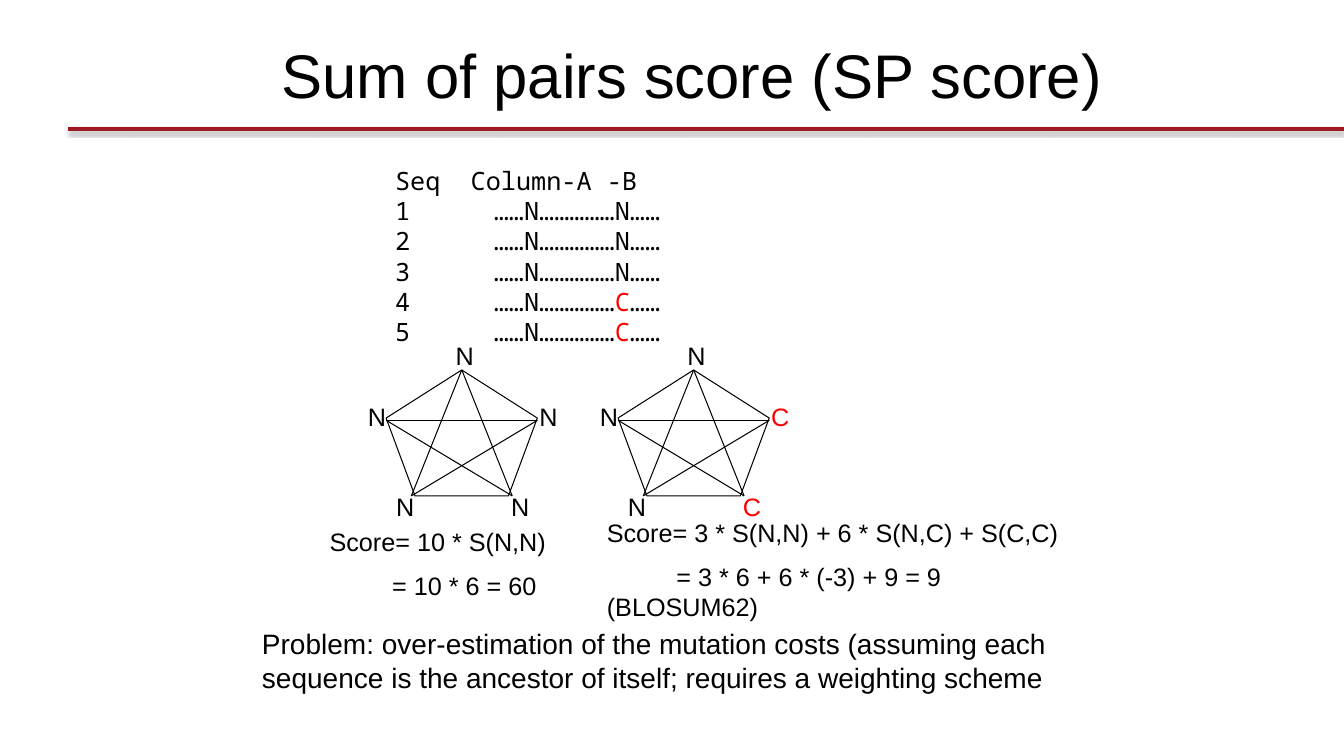
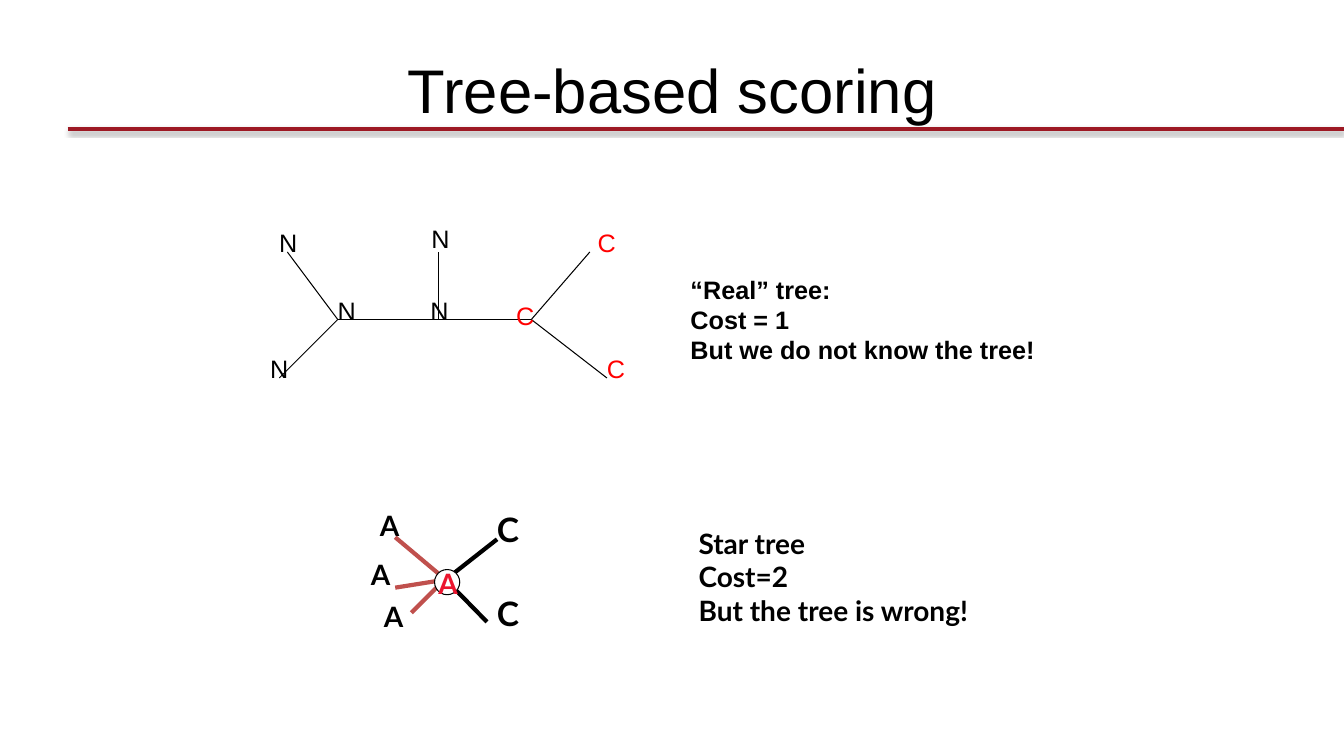
import pptx
import pptx.util
import pptx.dml.color
import pptx.enum.shapes
import pptx.enum.text
import pptx.oxml
import pptx.oxml.ns
import lxml.etree

Inches = pptx.util.Inches
Pt = pptx.util.Pt
SHAPES = pptx.enum.shapes.MSO_SHAPE
ALIGN = pptx.enum.text.PP_ALIGN
AUTO_SIZE = pptx.enum.text.MSO_AUTO_SIZE
qn = pptx.oxml.ns.qn

BLACK, WHITE, RED = "000000", "FFFFFF", "FF0000"
RULE_RED, BRANCH_RED, CENTRE_RED = "9D1924", "C0504D", "EB152E"
LETTER_COLORS = {"N": BLACK, "C": RED}
SANS, MONO, LATO = "Arial", "Noto Sans Mono", "Lato"
THIN, THICK = 0.75, 3


def rgb(color):
    return pptx.dml.color.RGBColor.from_string(color)


def format_run(run, size, font=SANS, color=BLACK, bold=False):
    run.font.size = Pt(size)
    run.font.name = font
    run.font.bold = bold
    run.font.color.rgb = rgb(color)


def add_text(slide, box, lines, size=18, font=SANS, color=BLACK, bold=False,
             align=ALIGN.LEFT, wrap=False):
    shape = slide.shapes.add_textbox(*map(Inches, box))
    frame = shape.text_frame
    frame.word_wrap = wrap
    frame.auto_size = AUTO_SIZE.SHAPE_TO_FIT_TEXT
    frame.text = "\n".join(lines)
    for paragraph in frame.paragraphs:
        paragraph.alignment = align
        for run in paragraph.runs:
            format_run(run, size, font, color, bold)
    return frame


def add_line(slide, start, end, width=THIN, color=BLACK):
    connector = slide.shapes.add_connector(
        pptx.enum.shapes.MSO_CONNECTOR.STRAIGHT, *map(Inches, (*start, *end)))
    connector.line.width = Pt(width)
    connector.line.color.rgb = rgb(color)
    lxml.etree.SubElement(connector.element.spPr, qn("a:effectLst"))
    return connector


def add_outline(slide, kind, box):
    shape = slide.shapes.add_shape(kind, *map(Inches, box))
    shape.shadow.inherit = False
    shape.line.width = Pt(THIN)
    shape.line.color.rgb = rgb(BLACK)
    return shape


def add_title_rule(slide):
    rule = add_line(slide, (0.67, 1.28), (13.33, 1.28), THICK, RULE_RED)
    effects = rule.element.spPr.find(qn("a:effectLst"))
    shadow = lxml.etree.SubElement(
        effects, qn("a:outerShdw"), blurRad=str(Pt(3.1)), dist=str(Pt(1.6)),
        dir="5400000", rotWithShape="0")
    shade = lxml.etree.SubElement(shadow, qn("a:srgbClr"), val=BLACK)
    lxml.etree.SubElement(shade, qn("a:alpha"), val="38000")
    slide.slide_layout.shapes.element.append(rule.element)


def add_titled_slide(presentation, title, box):
    slide = presentation.slides.add_slide(presentation.slide_layouts[5])
    shape = slide.shapes.title
    shape.left, shape.top, shape.width, shape.height = map(Inches, box)
    frame = shape.text_frame
    frame.margin_left = frame.margin_right = frame.margin_top = frame.margin_bottom = 0
    frame.vertical_anchor = pptx.enum.text.MSO_ANCHOR.MIDDLE
    frame.word_wrap = True
    frame.auto_size = AUTO_SIZE.NONE
    frame.text = title
    paragraph = frame.paragraphs[0]
    paragraph.alignment = ALIGN.CENTER
    paragraph.line_spacing = 0.9
    format_run(paragraph.runs[0], 44)
    return slide


def add_alignment(slide, box, column_b):
    frame = add_text(slide, box, ["Seq\tColumn-A -B"], font=MONO, wrap=True)
    header = frame.paragraphs[0]._p.get_or_add_pPr()
    tabs = lxml.etree.SubElement(header, qn("a:tabLst"))
    lxml.etree.SubElement(tabs, qn("a:tab"), pos=str(Inches(0.75)), algn="l")
    for letter in column_b:
        paragraph = frame.add_paragraph()
        paragraph.alignment = ALIGN.LEFT
        properties = paragraph._p.get_or_add_pPr()
        properties.set("marL", str(Inches(0.98)))
        properties.set("indent", str(-Inches(0.98)))
        lxml.etree.SubElement(properties, qn("a:buAutoNum"), type="arabicPlain")
        for part in ("……N……………", letter, "……"):
            run = paragraph.add_run()
            run.text = part
            format_run(run, 18, MONO, LETTER_COLORS.get(part, BLACK))


def add_pair_graph(slide, left, top, letters):
    add_outline(slide, SHAPES.REGULAR_PENTAGON, (left, top, 1.5, 1.25)).fill.background()
    corners = [(left + x, top + y) for x, y in
               ((0.75, 0), (1.5, 0.5), (1.25, 1.25), (0.25, 1.25), (0, 0.5))]
    for index, corner in enumerate(corners):
        add_line(slide, corner, corners[(index + 2) % 5])
    places = ((0.59, -0.34), (1.42, 0.26), (1.14, 1.16), (0, 1.16), (-0.28, 0.26))
    add_letters(slide, left, top, zip(letters, places))


def add_letters(slide, left, top, labels):
    for letter, (x, y) in labels:
        add_text(slide, (left + x, top + y, 0.38, 0.4), [letter],
                 color=LETTER_COLORS[letter])


def add_score(slide, box, lines, indent):
    frame = add_text(slide, box, lines, wrap=True)
    result = frame.paragraphs[1]
    result.space_before = Pt(10)
    properties = result._p.get_or_add_pPr()
    properties.set("marL", "0")
    properties.set("indent", str(Inches(indent)))


def add_real_tree(slide, left, top):
    inner_left, inner_middle, inner_right = (0.58, 0.67), (1.58, 0.67), (2.5, 0.67)
    branches = (
        (inner_left, inner_right),
        (inner_right, (3.08, 0)), (inner_right, (3.25, 1.25)),
        (inner_middle, (1.58, 0)),
        (inner_left, (0.08, 0)), (inner_left, (0, 1.25)))
    for branch in branches:
        add_line(slide, *[(left + x, top + y) for x, y in branch])
    add_letters(slide, left, top, (
        ("N", (-0.1, -0.29)), ("N", (1.41, -0.33)), ("N", (-0.19, 0.96)),
        ("N", (0.48, 0.38)), ("N", (1.4, 0.38)), ("C", (2.25, 0.43)),
        ("C", (3.06, -0.29)), ("C", (3.15, 0.96))))


def add_star_tree(slide, left, top):
    branches = (
        ((0.5, 1.08), (0.75, 0.83), BRANCH_RED),
        ((0.84, 0.75), (1.25, 1.17), BLACK),
        ((0.34, 0.83), (0.84, 0.75), BRANCH_RED),
        ((0.84, 0.75), (0.34, 0.33), BRANCH_RED),
        ((0.93, 0.68), (1.35, 0.35), BLACK))
    for start, end, color in branches:
        add_line(slide, (left + start[0], top + start[1]),
                 (left + end[0], top + end[1]), THICK, color)
    centre = add_outline(slide, SHAPES.OVAL, (left + 0.73, top + 0.65, 0.25, 0.25))
    centre.fill.solid()
    centre.fill.fore_color.rgb = rgb(WHITE)
    labels = (
        ("A", 0, 0.48, 20, BLACK), ("A", 0.09, 0, 20, BLACK),
        ("A", 0.13, 0.9, 20, BLACK), ("C", 1.25, 0.83, 24, BLACK),
        ("C", 1.25, 0, 24, BLACK), ("A", 0.67, 0.57, 20, CENTRE_RED))
    for letter, x, y, size, color in labels:
        box = (left + x, top + y, 0.4 if size == 24 else 0.38, 0.5 if size == 24 else 0.43)
        add_text(slide, box, [letter], size, LATO, color, True, ALIGN.CENTER)


def build_pairs_slide(presentation):
    slide = add_titled_slide(presentation, "Sum of pairs score (SP score)",
                             (1.99, 0.49, 9.75, 0.57))
    add_alignment(slide, (3.82, 1.59, 3, 1.9), "NNNCC")
    add_pair_graph(slide, 3.83, 3.67, "NNNNN")
    add_pair_graph(slide, 6.13, 3.67, "NCCNN")
    add_score(slide, (3.17, 5.17, 3.25, 0.85),
              ["Score= 10 * S(N,N)", "= 10 * 6 = 60"], 0.62)
    add_score(slide, (5.92, 5.08, 4.75, 1.16),
              ["Score= 3 * S(N,N) + 6 * S(N,C) + S(C,C)",
               "= 3 * 6 + 6 * (-3) + 9 = 9 (BLOSUM62)"], 0.69)
    add_text(slide, (2.5, 6.17, 8.33, 0.77),
             ["Problem: over-estimation of the mutation costs (assuming each "
              "sequence is the ancestor of itself; requires a weighting scheme"],
             20, wrap=True)
    return slide


def build_tree_slide(presentation):
    slide = add_titled_slide(presentation, "Tree-based scoring", (0.67, 0.3, 12, 1.25))
    add_real_tree(slide, 2.77, 2.5)
    add_text(slide, (6.75, 2.67, 3.62, 1),
             ["“Real” tree:", "Cost = 1", "But we do not know the tree!"], bold=True)
    add_star_tree(slide, 3.58, 5)
    add_text(slide, (6.83, 5.17, 3.06, 1.1),
             ["Star tree", "Cost=2", "But the tree is wrong!"], 20, LATO, bold=True)


def main():
    presentation = pptx.Presentation()
    presentation.slide_width = Inches(13.33)
    presentation.slide_height = Inches(7.5)
    add_title_rule(build_pairs_slide(presentation))
    build_tree_slide(presentation)
    presentation.save("out.pptx")


if __name__ == "__main__":
    main()
